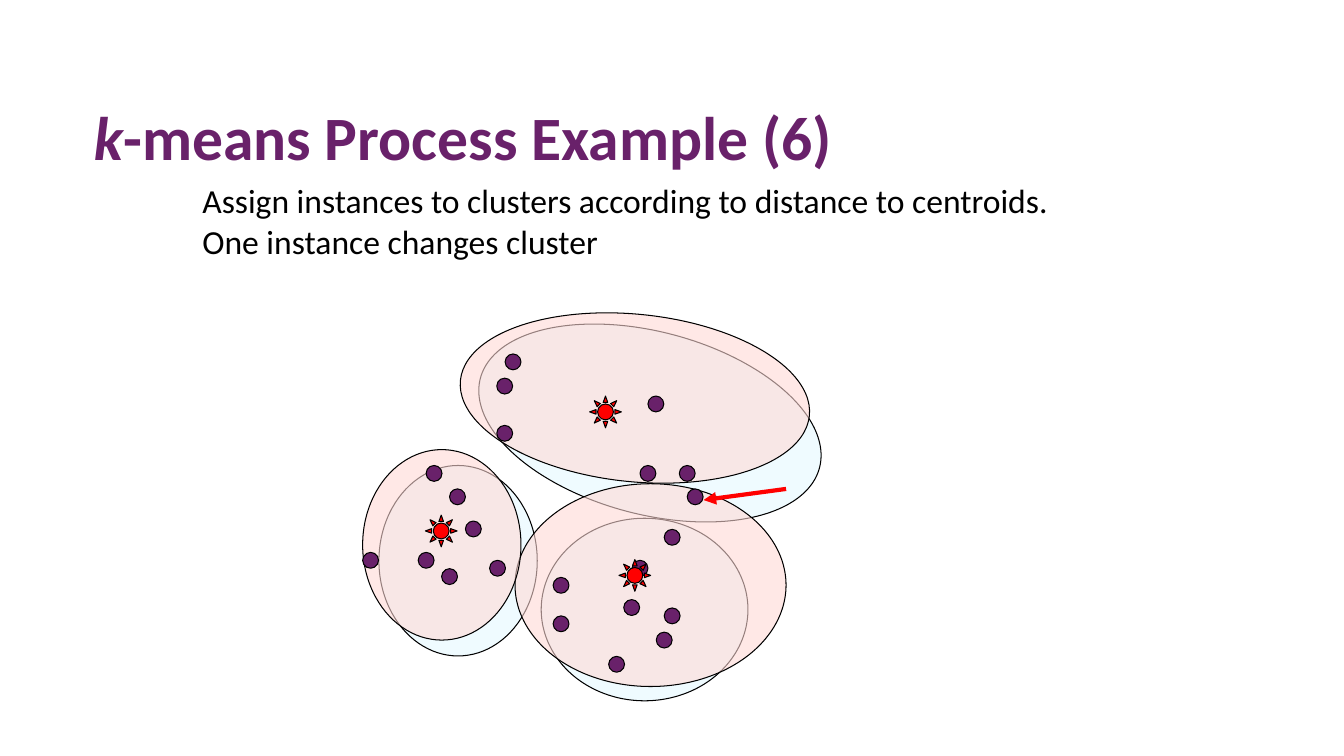
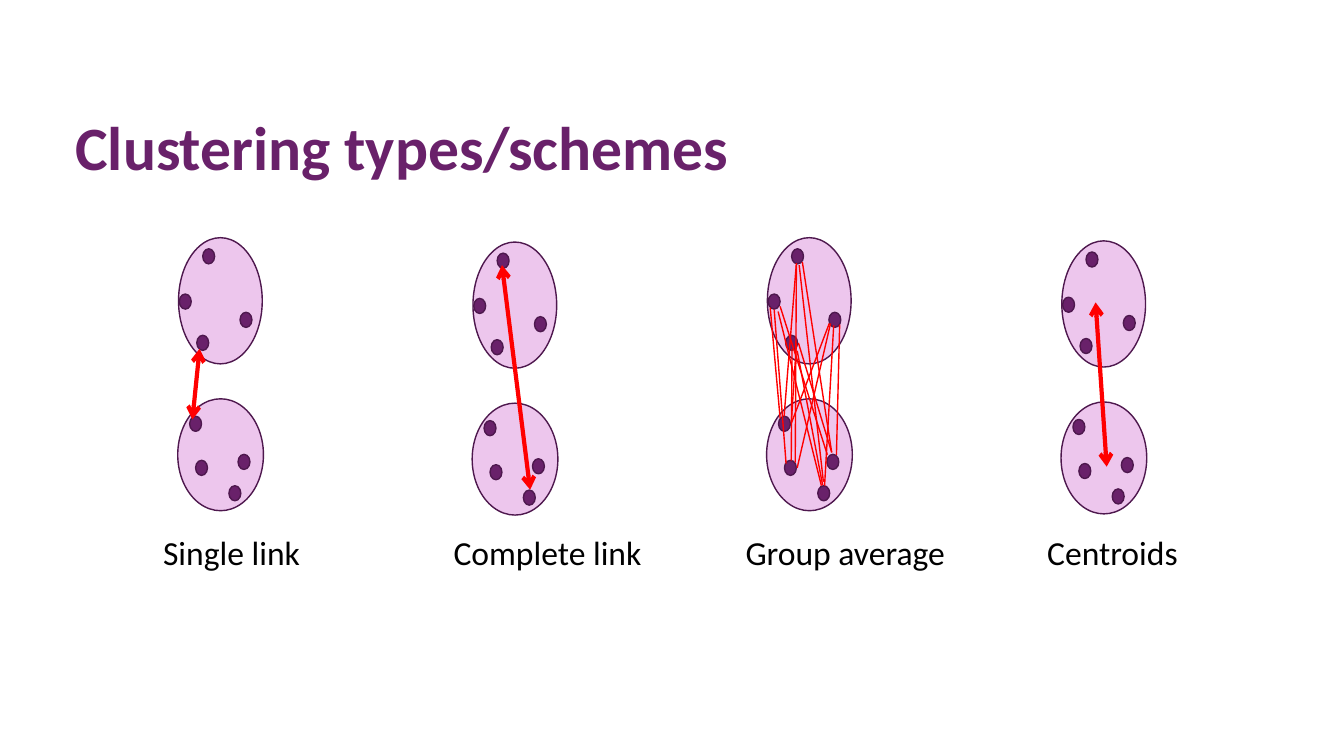
from lxml.etree import SubElement
from pptx import Presentation
from pptx.dml.color import RGBColor
from pptx.enum.shapes import MSO_CONNECTOR, MSO_SHAPE
from pptx.enum.text import MSO_ANCHOR
from pptx.oxml.ns import qn
from pptx.util import Cm, Pt

rgb = RGBColor.from_string
PURPLE, LILAC, PLUM = "69216A", "EDC6ED", "4E184E"
BLUE, PINK, RED, BLACK = "EFFBFF", "FFD9D5", "FF0000", "000000"
TITLE = {"name": "Calibri", "size": Pt(44), "bold": True}
BODY = {"name": "Calibri", "size": Pt(24)}


def add_shape(s, kind, box, fill, line, width, rotation=0, alpha=None):
    sp = s.shapes.add_shape(kind, *[Cm(v) for v in box])
    sp.shadow.inherit = False
    sp.rotation = rotation
    sp.fill.solid()
    sp.fill.fore_color.rgb = rgb(fill)
    sp.line.color.rgb = rgb(line)
    sp.line.width = Pt(width)
    if alpha:
        color = sp.fill._xPr.find(qn("a:solidFill"))[0]
        SubElement(color, qn("a:alpha"), val=str(alpha * 1000))


def add_line(s, ends, width, **arrows):
    c = s.shapes.add_connector(MSO_CONNECTOR.STRAIGHT, *[Cm(v) for v in ends])
    c.line.color.rgb = rgb(RED)
    c.line.width = Pt(width)
    ln = c.line._get_or_add_ln()
    for end, kind in arrows.items():
        SubElement(ln, qn("a:" + end), type=kind)
    SubElement(c._element.spPr, qn("a:effectLst"))


prs = Presentation()
prs.slide_width, prs.slide_height = Cm(33.87), Cm(19.05)
process, schemes = [prs.slides.add_slide(prs.slide_layouts[6]) for _ in range(2)]

old_clusters = [
    (13.64, 13.06, 5.21, 4.6, 0),
    (11.96, 8.36, 8.84, 4.6, 14.8),
    (9.55, 11.73, 3.99, 4.8, 0),
]
new_clusters = [
    (12.98, 12.19, 6.83, 5.11, 0),
    (11.58, 7.92, 8.84, 4.22, 5.8),
    (9.14, 11.33, 3.99, 4.8, 0),
]
for clusters, fill, alpha in ((old_clusters, BLUE, None), (new_clusters, PINK, 59)):
    for *box, rotation in clusters:
        add_shape(process, MSO_SHAPE.OVAL, box, fill, BLACK, 0.75, rotation, alpha)

instances = [
    (16.33, 9.98), (10.74, 11.73), (9.14, 13.92), (11.33, 12.32),
    (12.52, 9.53), (13.94, 14.55), (12.52, 10.72), (11.13, 14.33),
    (16.13, 11.73), (11.73, 13.13), (12.73, 8.92), (10.54, 13.92),
    (17.32, 12.32), (15.72, 15.11), (16.74, 13.34), (12.34, 14.12),
    (17.12, 11.73), (15.34, 16.54), (16.54, 15.93), (13.94, 15.52),
    (15.93, 14.12), (16.74, 15.32),
]
for x, y in instances:
    add_shape(process, MSO_SHAPE.OVAL, (x, y, 0.4, 0.4), PURPLE, BLACK, 0.75)
for x, y in ((10.72, 12.98), (14.86, 9.98), (15.6, 14.1)):
    add_shape(process, MSO_SHAPE.SUN, (x, y, 0.8, 0.8), RED, BLACK, 0.75)
add_line(process, (19.81, 12.32, 17.73, 12.6), 3, tailEnd="triangle")

cluster_pair = [
    ((0, 0, 2.11, 3.18), [(0.02, 1.42), (0.61, 0.28), (0.46, 2.46), (1.55, 1.88)]),
    ((-0.02, 4.06, 2.16, 2.82), [(0.28, 4.5), (1.5, 5.46), (0.43, 5.61), (1.27, 6.25)]),
]
for i, top in enumerate((5.99, 6.1, 5.99, 6.07)):
    left = 4.5 + 7.42 * i
    for (x, y, w, h), dots in cluster_pair:
        add_shape(schemes, MSO_SHAPE.OVAL, (left + x, top + y, w, h), LILAC, PLUM, 1)
        for x, y in dots:
            box = (left + x, top + y, 0.3, 0.38)
            add_shape(schemes, MSO_SHAPE.OVAL, box, PURPLE, PLUM, 1)

distances = [
    (5.03, 8.79, 4.85, 10.57),
    (12.65, 6.68, 13.36, 12.34),
    (27.61, 7.62, 27.89, 11.76),
]
for ends in distances:
    add_line(schemes, ends, 3, headEnd="arrow", tailEnd="arrow")

average_links = [
    (19.41, 7.75, 19.66, 10.54), (20.07, 6.63, 19.76, 10.49),
    (20.07, 8.66, 19.94, 10.67), (20.9, 8.15, 19.94, 10.67),
    (20.22, 6.6, 20.96, 11.4), (21.16, 8.18, 21.08, 11.46),
    (20.12, 8.64, 20.96, 11.4), (19.51, 7.8, 19.81, 11.68),
    (20.07, 6.68, 20.04, 11.66), (19.66, 7.72, 20.85, 11.46),
    (21.01, 8.2, 20.78, 12.24), (20.93, 8.15, 20.09, 11.79),
    (19.96, 8.79, 19.94, 11.61), (20.09, 8.84, 20.73, 12.22),
    (20.14, 6.68, 20.75, 12.14), (19.61, 7.85, 20.7, 12.24),
]
for ends in average_links:
    add_line(schemes, ends, 1)

texts = [
    (process, (4.85, 4.42, 24.56, 2.31), BODY, BLACK, True, [
        [("Assign instances to clusters according to distance to centroids.", False)],
        [("One instance changes cluster", False)],
    ]),
    (process, (2.11, 2.57, 28.96, 2.92), TITLE, PURPLE, True,
     [[("k", True), ("-means Process Example (6)", False)]]),
    (schemes, (1.65, 2.84, 29.21, 2.11), TITLE, PURPLE, True,
     [[("Clustering types/schemes", False)]]),
]
labels = [
    ("Single link", 3.86, 3.99),
    ("Complete link", 11.18, 5.28),
    ("Group average", 18.54, 5.59),
    ("Centroids", 26.14, 3.84),
]
for label, left, width in labels:
    box = (left, 13.28, width, 1.27)
    texts.append((schemes, box, BODY, BLACK, False, [[(label, False)]]))

for s, box, style, color, wrap, paragraphs in texts:
    tf = s.shapes.add_textbox(*[Cm(v) for v in box]).text_frame
    tf.word_wrap = wrap
    tf.vertical_anchor = MSO_ANCHOR.TOP
    for i, runs in enumerate(paragraphs):
        p = tf.add_paragraph() if i else tf.paragraphs[0]
        if style is TITLE:
            p.line_spacing = 0.9
        for text, italic in runs:
            r = p.add_run()
            r.text = text
            for name, value in {**style, "italic": italic}.items():
                setattr(r.font, name, value)
            r.font.color.rgb = rgb(color)

prs.save("out.pptx")
